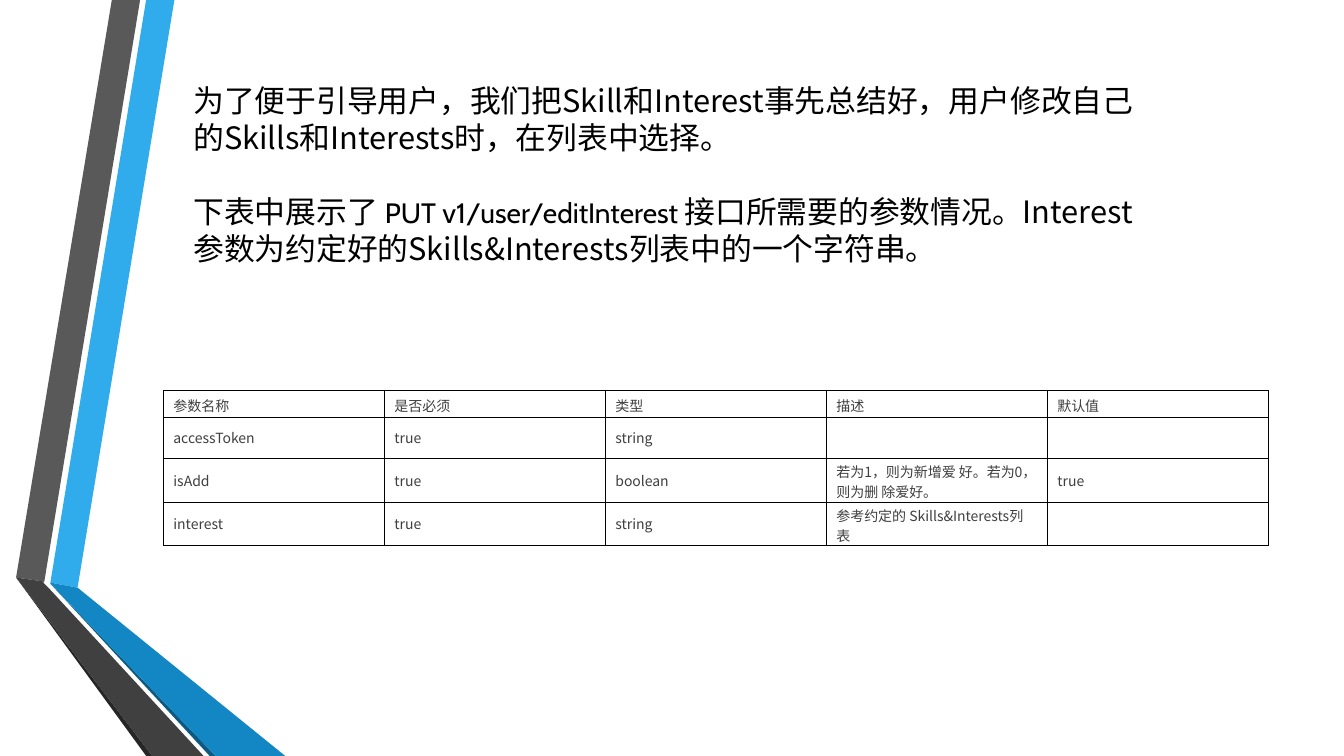
from lxml.etree import SubElement
from pptx import Presentation
from pptx.dml.color import RGBColor
from pptx.enum.text import MSO_ANCHOR
from pptx.oxml import parse_xml
from pptx.oxml.ns import nsdecls, qn
from pptx.util import Inches, Pt

WIDTH, HEIGHT = 13.33, 7.5
COLORS = {
    "light blue": "30ACEC", "blue": "1287C3", "deep blue": "0C5A82",
    "light gray": "595959", "gray": "404040", "deep gray": "262626",
    "text": "000000", "cell text": "3F3F3F", "border": "000000",
}
CJK, LATIN = "Noto Sans CJK JP", "Cabin"
BODY = {"size": Pt(22), "name": CJK}
CODE = {"size": Pt(20), "name": LATIN}
CELL = {"size": Pt(10), "name": CJK}

# Folded ribbons, from back to front: colour and corner points in inches
RIBBONS = [
    ("light blue", [(0.5, 5.78), (0.77, 5.83), (1.73, 0), (1.45, 0)]),
    ("light gray", [(1.39, 0), (1.11, 0), (0.16, 5.73), (0.44, 5.77)]),
    ("deep gray", [(0.16, 5.73), (1.45, HEIGHT), (1.51, HEIGHT)]),
    ("deep blue", [(0.5, 5.79), (2.08, HEIGHT), (2.14, HEIGHT)]),
    ("blue", [(0.5, 5.78), (0.5, 5.79), (2.14, HEIGHT), (2.83, HEIGHT), (0.77, 5.83)]),
    ("gray", [(2.02, HEIGHT), (0.48, 5.83), (0.43, 5.78), (0.44, 5.77),
              (0.16, 5.73), (1.51, HEIGHT)]),
]
INTRODUCTION = [
    [("为了便于引导用户，我们把Skill和Interest事先总结好，用户修改自己的Skills和Interests时，"
      "在列表中选择。", BODY)],
    [("下表中展示了 ", BODY), ("PUT v1/user/editInterest ", CODE),
     ("接口所需要的参数情况。Interest参数为约定好的Skills&Interests列表中的一个字符串。", BODY)],
]
PARAMETERS = [
    ["参数名称", "是否必须", "类型", "描述", "默认值"],
    ["accessToken", "true", "string", "", ""],
    ["isAdd", "true", "boolean", "若为1，则为新增爱 好。若为0，则为删 除爱好。", "true"],
    ["interest", "true", "string", "参考约定的 Skills&Interests列 表", ""],
]
ROW_HEIGHTS = [0.27, 0.41, 0.43, 0.43]


def color(name):
    return RGBColor.from_string(COLORS[name])


def add_run(paragraph, text, text_format, color_name):
    run = paragraph.add_run()
    run.text = text
    for attribute, value in text_format.items():
        setattr(run.font, attribute, value)
    run.font.color.rgb = color(color_name)
    # East Asian characters take their typeface from a separate element
    SubElement(run.font._element, qn("a:ea"), typeface=text_format["name"])


def add_ribbon(slide, color_name, points):
    # The builder keeps whole units only, so it works in hundredths of an inch
    corners = [(round(x * 100), round(y * 100)) for x, y in points]
    builder = slide.shapes.build_freeform(*corners[0], scale=Inches(0.01))
    builder.add_line_segments(corners[1:], close=True)
    shape = builder.convert_to_shape()
    shape.shadow.inherit = False
    shape.fill.solid()
    shape.fill.fore_color.rgb = color(color_name)
    shape.line.fill.background()


def add_introduction(slide, left, top, width, height):
    box = slide.shapes.add_textbox(*map(Inches, (left, top, width, height)))
    frame = box.text_frame
    frame.word_wrap = True
    for index, runs in enumerate(INTRODUCTION):
        paragraph = frame.add_paragraph() if index else frame.paragraphs[0]
        paragraph.space_before = Pt(26.5 if index else 0)
        for text, text_format in runs:
            add_run(paragraph, text, text_format, "text")


def add_borders(cell):
    properties = cell._tc.get_or_add_tcPr()
    for position, side in enumerate(("lnL", "lnR", "lnT", "lnB")):
        properties.insert(position, parse_xml(
            f'<a:{side} {nsdecls("a")} w="{Pt(0.5)}"><a:solidFill>'
            f'<a:srgbClr val="{COLORS["border"]}"/></a:solidFill></a:{side}>'))


def add_parameter_table(slide, left, top, width):
    columns = len(PARAMETERS[0])
    table = slide.shapes.add_table(
        len(PARAMETERS), columns,
        *map(Inches, (left, top, width, sum(ROW_HEIGHTS)))).table
    table.first_row = table.horz_banding = False
    for row, height, texts in zip(table.rows, ROW_HEIGHTS, PARAMETERS):
        row.height = Inches(height)
        for cell, text in zip(row.cells, texts):
            # Chinese text sits slightly lower than the plain values
            cell_format = {"vertical_anchor": MSO_ANCHOR.MIDDLE,
                           "margin_top": Inches(0 if text.isascii() else 0.03),
                           "margin_bottom": 0}
            for attribute, value in cell_format.items():
                setattr(cell, attribute, value)
            cell.fill.background()
            add_borders(cell)
            if text:
                add_run(cell.text_frame.paragraphs[0], text, CELL, "cell text")


def main():
    presentation = Presentation()
    presentation.slide_width = Inches(WIDTH)
    presentation.slide_height = Inches(HEIGHT)
    slide = presentation.slides.add_slide(presentation.slide_layouts[6])
    for color_name, points in RIBBONS:
        add_ribbon(slide, color_name, points)
    add_introduction(slide, 1.82, 0.76, 9.57, 2.32)
    add_parameter_table(slide, 1.62, 3.87, 10.96)
    presentation.save("out.pptx")


main()
